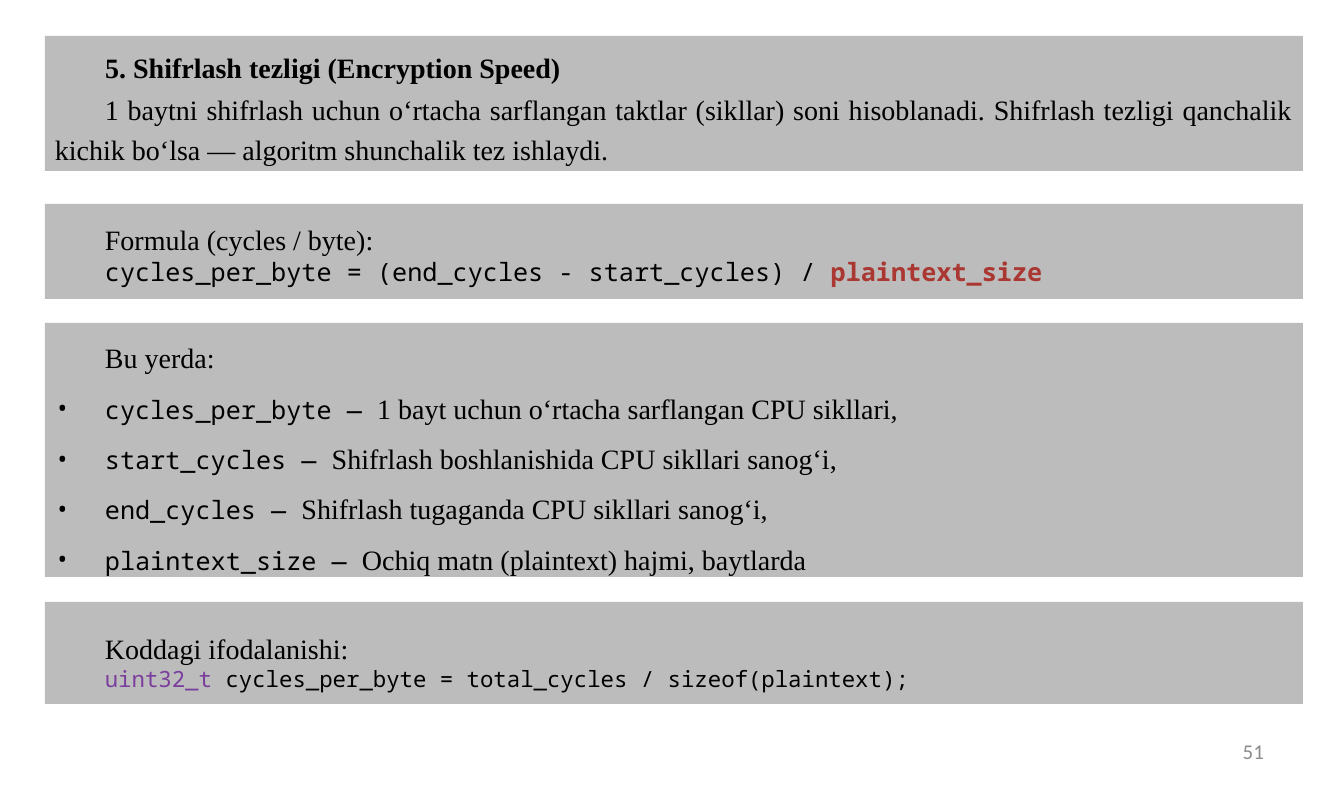
from dataclasses import dataclass

from lxml import etree
from pptx import Presentation
from pptx.dml.color import RGBColor
from pptx.enum.shapes import MSO_SHAPE
from pptx.enum.text import MSO_ANCHOR, MSO_AUTO_SIZE, PP_ALIGN
from pptx.oxml.ns import qn
from pptx.util import Pt

RECTANGLE = MSO_SHAPE.RECTANGLE
MIDDLE, BOTTOM = MSO_ANCHOR.MIDDLE, MSO_ANCHOR.BOTTOM
LEFT, RIGHT, JUSTIFY = PP_ALIGN.LEFT, PP_ALIGN.RIGHT, PP_ALIGN.JUSTIFY


@dataclass(frozen=True)
class Style:
    font: str
    size: int
    color: str = "000000"
    bold: bool = False


class Theme:
    panel = "A6A6A6"
    panel_alpha = 75
    serif, mono = "Times New Roman", "Noto Sans Mono"
    heading = Style(serif, 20, bold=True)
    body = Style(serif, 20)
    term = Style(mono, 18)
    variable = Style(mono, 18, "AA3731", True)
    code = Style(mono, 16)
    keyword = Style(mono, 16, "7A3E9D")
    number = Style("Calibri", 15, "8C8C8C")


@dataclass(frozen=True)
class Line:
    runs: list
    spacing: float = 1.0
    align: PP_ALIGN = JUSTIFY
    bullet: bool = False
    indent: int = 50


TERMS = [
    ("cycles_per_byte", "1 bayt uchun o‘rtacha sarflangan CPU sikllari,"),
    ("start_cycles", "Shifrlash boshlanishida CPU sikllari sanog‘i,"),
    ("end_cycles", "Shifrlash tugaganda CPU sikllari sanog‘i,"),
    ("plaintext_size", "Ochiq matn (plaintext) hajmi, baytlarda"),
]
TITLE = [Line([("5. Shifrlash tezligi (Encryption Speed)", Theme.heading)], 1.2)]
DEFINITION = [Line([(
    "1 baytni shifrlash uchun o‘rtacha sarflangan taktlar (sikllar) soni hisoblanadi. "
    "Shifrlash tezligi qanchalik kichik bo‘lsa — algoritm shunchalik tez ishlaydi.",
    Theme.body)], 1.2)]
FORMULA = [
    Line([("Formula (cycles / byte):", Theme.body)], 1.2),
    Line([("cycles_per_byte = (end_cycles - start_cycles) / ", Theme.term),
          ("plaintext_size", Theme.variable)], align=LEFT),
]
LEGEND = [Line([("Bu yerda:", Theme.body)], 1.5)] + [
    Line([(f"{term} — ", Theme.term), (meaning, Theme.body)], 1.5, bullet=True)
    for term, meaning in TERMS
]
CODE = [
    Line([("Koddagi ifodalanishi:", Theme.body)], 1.5),
    Line([("uint32_t ", Theme.keyword),
          ("cycles_per_byte = total_cycles / sizeof(plaintext);", Theme.code)], align=LEFT),
]
PAGE_NUMBER = [Line([("51", Theme.number)], align=RIGHT, indent=0)]

# top, height, anchor, lines
PANELS = [
    (36, 135, BOTTOM, DEFINITION),
    (204, 95, MIDDLE, FORMULA),
    (323, 254, MIDDLE, LEGEND),
    (602, 102, MIDDLE, CODE),
]
SLIDE_WIDTH, SLIDE_HEIGHT = 1344, 788
PANEL_LEFT, PANEL_WIDTH = 45, 1258
TITLE_TOP, TITLE_HEIGHT = 43, 41


def px(length):
    return round(length * 914400 / 100.8)


def write(shape, lines, anchor=MIDDLE):
    frame = shape.text_frame
    frame.word_wrap = True
    frame.auto_size = MSO_AUTO_SIZE.NONE
    frame.vertical_anchor = anchor
    for index, line in enumerate(lines):
        paragraph = frame.add_paragraph() if index else frame.paragraphs[0]
        paragraph.alignment = line.align
        paragraph.line_spacing = line.spacing
        properties = paragraph._p.get_or_add_pPr()
        properties.set("marL", str(px(line.indent) if line.bullet else 0))
        properties.set("indent", str(px(-line.indent if line.bullet else line.indent)))
        if line.bullet:
            etree.SubElement(properties, qn("a:buFont"), typeface=Theme.mono)
            etree.SubElement(properties, qn("a:buChar"), char="•")
        for text, style in line.runs:
            run = paragraph.add_run()
            run.text = text
            run.font.name = style.font
            run.font.size = Pt(style.size)
            run.font.bold = style.bold
            run.font.color.rgb = RGBColor.from_string(style.color)


def add_panel(slide, top, height, anchor, lines):
    panel = slide.shapes.add_shape(
        RECTANGLE, px(PANEL_LEFT), px(top), px(PANEL_WIDTH), px(height))
    panel.shadow.inherit = False
    panel.line.fill.background()
    panel.fill.solid()
    panel.fill.fore_color.rgb = RGBColor.from_string(Theme.panel)
    color = panel.element.spPr.find(f"{qn('a:solidFill')}/{qn('a:srgbClr')}")
    etree.SubElement(color, qn("a:alpha"), val=str(Theme.panel_alpha * 1000))
    write(panel, lines, anchor)
    return panel


def main():
    presentation = Presentation()
    presentation.slide_width = px(SLIDE_WIDTH)
    presentation.slide_height = px(SLIDE_HEIGHT)
    slide = presentation.slides.add_slide(presentation.slide_layouts[5])

    panels = [add_panel(slide, *panel) for panel in PANELS]

    title = slide.shapes.title
    title.left, title.top = px(PANEL_LEFT), px(TITLE_TOP)
    title.width, title.height = px(PANEL_WIDTH), px(TITLE_HEIGHT)
    title.text_frame.margin_top = title.text_frame.margin_bottom = 0
    write(title, TITLE)
    # The title lies on the first panel, so it is stacked just above it.
    panels[0].element.addnext(title.element)

    number = slide.shapes.add_textbox(px(963), px(730), px(313), px(42))
    number.text_frame.margin_left = number.text_frame.margin_right = px(12)
    write(number, PAGE_NUMBER)

    presentation.save("out.pptx")


if __name__ == "__main__":
    main()
